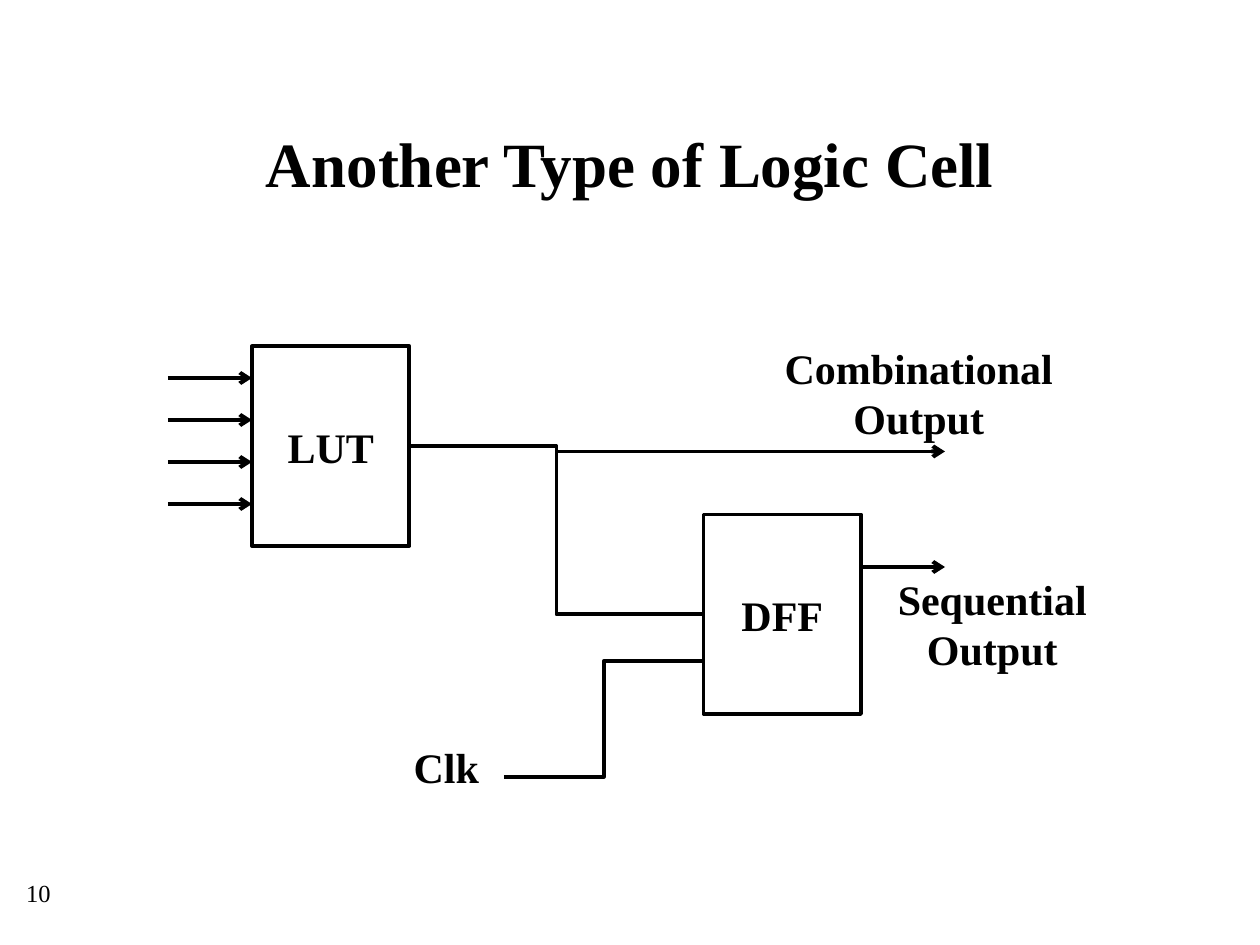
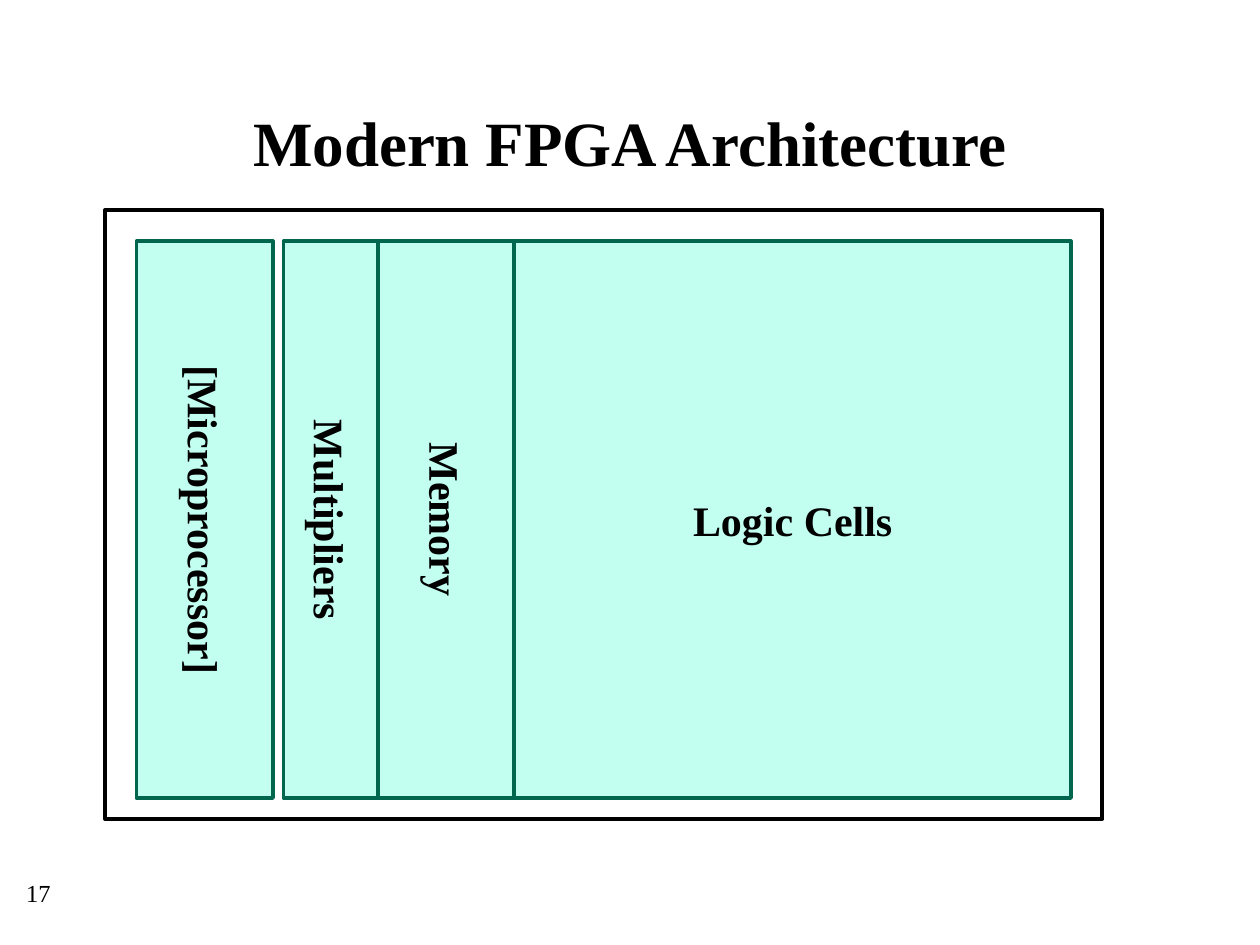
from dataclasses import dataclass

from lxml.etree import SubElement
from pptx import Presentation
from pptx.dml.color import RGBColor
from pptx.enum.shapes import MSO_CONNECTOR, MSO_SHAPE
from pptx.enum.text import MSO_ANCHOR, PP_ALIGN
from pptx.oxml.ns import qn
from pptx.util import Inches, Pt


@dataclass(frozen=True)
class Theme:
    font: str = "Times New Roman"
    ink: str = "000000"
    paper: str = "FFFFFF"
    block_fill: str = "C2FFF0"
    block_line: str = "00664D"
    title_size: int = 36
    label_size: int = 24
    number_size: int = 14
    line_width: float = 2.25


THEME = Theme()
COLUMNS, ROWS = 120, 90
CELL = Inches(10) // COLUMNS
BLANK_LAYOUT = 6


def grid(*cells):
    return [round(cell * CELL) for cell in cells]


def color(value):
    return RGBColor.from_string(value)


def write(text_frame, text, size, bold=True, align=PP_ALIGN.CENTER,
          anchor=MSO_ANCHOR.MIDDLE, wrap=True):
    text_frame.text = text
    text_frame.word_wrap = wrap
    text_frame.vertical_anchor = anchor
    for paragraph in text_frame.paragraphs:
        paragraph.alignment = align
        for run in paragraph.runs:
            run.font.name = THEME.font
            run.font.size = Pt(size)
            run.font.bold = bold
            run.font.color.rgb = color(THEME.ink)


def add_text(slide, box, text, size=THEME.label_size, **style):
    shape = slide.shapes.add_textbox(*grid(*box))
    write(shape.text_frame, text, size, **style)


def add_box(slide, box, text="", fill=THEME.paper, line=THEME.ink, vertical=False):
    shape = slide.shapes.add_shape(MSO_SHAPE.RECTANGLE, *grid(*box))
    shape.shadow.inherit = False
    shape.fill.solid()
    shape.fill.fore_color.rgb = color(fill)
    shape.line.color.rgb = color(line)
    shape.line.width = Pt(THEME.line_width)
    if text:
        write(shape.text_frame, text, THEME.label_size, wrap=False)
    if vertical:
        shape.element.txBody.bodyPr.set("vert", "vert")
    return shape


def add_wire(slide, start, end, kind=MSO_CONNECTOR.STRAIGHT):
    wire = slide.shapes.add_connector(kind, *grid(*start, *end))
    wire.line.color.rgb = color(THEME.ink)
    wire.line.width = Pt(THEME.line_width)
    SubElement(wire.element.spPr, qn("a:effectLst"))
    return wire


def add_arrow(slide, left, right, row):
    wire = add_wire(slide, (left, row), (right, row))
    SubElement(wire.line._get_or_add_ln(), qn("a:tailEnd"), type="arrow")


def add_slide(presentation, title, title_row, number):
    slide = presentation.slides.add_slide(presentation.slide_layouts[BLANK_LAYOUT])
    slide.background.fill.solid()
    slide.background.fill.fore_color.rgb = color(THEME.paper)
    add_text(slide, (9, title_row, 102, 15), title, THEME.title_size)
    add_text(slide, (1, 83, 5, 5), number, THEME.number_size, bold=False,
             align=PP_ALIGN.RIGHT, anchor=MSO_ANCHOR.TOP)
    return slide


def build_logic_cell(presentation):
    slide = add_slide(presentation, "Another Type of Logic Cell", 8, "10")
    width, height = 15, 19
    lut_left, lut_top = 24, 33
    dff_left, dff_top = 67, 49
    lut = add_box(slide, (lut_left, lut_top, width, height), "LUT")
    dff = add_box(slide, (dff_left, dff_top, width, height), "DFF")

    link = add_wire(slide, (lut_left + width, lut_top + height / 2),
                    (dff_left, dff_top + height / 2), MSO_CONNECTOR.ELBOW)
    link.begin_connect(lut, 3)
    link.end_connect(dff, 1)
    for index in range(4):
        add_arrow(slide, lut_left - 8, lut_left, 36 + 4 * index)
    add_wire(slide, (48, 74), (dff_left, 63), MSO_CONNECTOR.ELBOW)

    output_end = 90
    add_arrow(slide, dff_left + width, output_end, 54)
    add_arrow(slide, (lut_left + width + dff_left) / 2, output_end, 43)

    for text, box in (("Clk", (38, 70, 9, 6)),
                      ("Combinational Output", (69, 32, 37, 11)),
                      ("Sequential Output", (81, 54, 27, 11))):
        add_text(slide, box, text, anchor=MSO_ANCHOR.TOP)


def build_architecture(presentation):
    slide = add_slide(presentation, "Modern FPGA Architecture", 6, "17")
    add_box(slide, (10, 20, 95, 58))
    left = 13
    for text, width, gap, vertical in (("[Microprocessor]", 13, 1, True),
                                       ("Multipliers", 9, 0, True),
                                       ("Memory", 13, 0, True),
                                       ("Logic Cells", 53, 0, False)):
        add_box(slide, (left, 23, width, 53), text,
                THEME.block_fill, THEME.block_line, vertical)
        left += width + gap


def main():
    presentation = Presentation()
    presentation.slide_width, presentation.slide_height = grid(COLUMNS, ROWS)
    build_logic_cell(presentation)
    build_architecture(presentation)
    presentation.save("out.pptx")


main()
